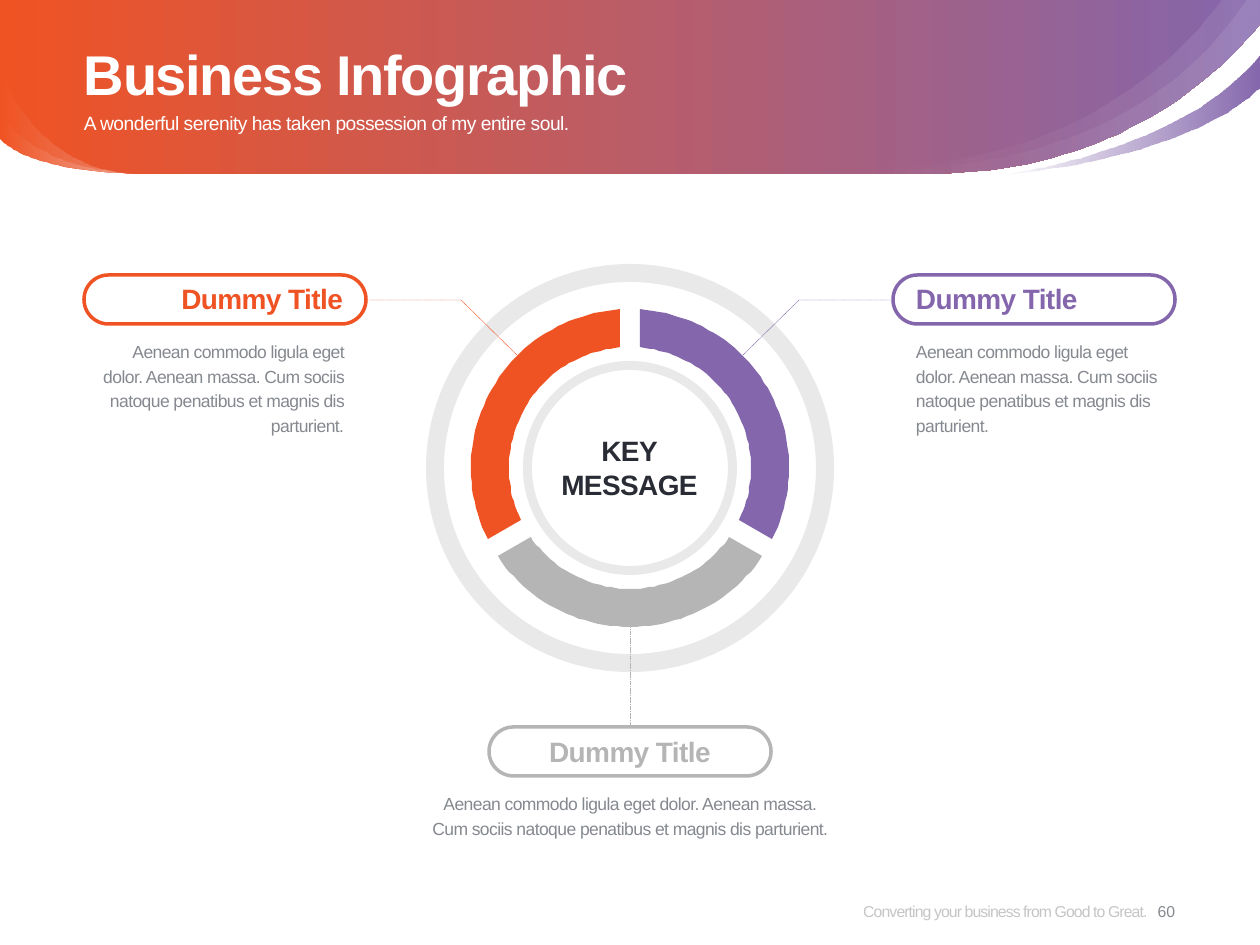
from math import asin, cos, pi, sin

from pptx import Presentation
from pptx.dml.color import RGBColor
from pptx.enum.dml import MSO_LINE
from pptx.enum.shapes import MSO_CONNECTOR, MSO_SHAPE as SHAPE
from pptx.enum.text import MSO_ANCHOR as ANCHOR, MSO_AUTO_SIZE as AUTO_SIZE, PP_ALIGN as ALIGN
from pptx.oxml.ns import qn
from pptx.util import Pt

PX = 914400 / 126
ORANGE, PURPLE, SILVER = "F05323", "8466AC", "B5B5B5"
DARK, GRAY, WHITE = "292C34", "85898F", "FFFFFF"
LOREM = "Aenean commodo ligula eget dolor. Aenean massa."
IPSUM = "Cum sociis natoque penatibus et magnis dis parturient."


def px(length):
    """Turn a length in px into EMU."""
    return round(length * PX)


def color(value):
    """Turn a hex string into a colour."""
    return RGBColor.from_string(value)


def set_alpha(element, opacities):
    """Give the colours inside an element their opacities in percent."""
    for node, opacity in zip(element.iter(qn("a:srgbClr")), opacities):
        node.makeelement(qn("a:alpha"), {"val": str(opacity * 1000)})
        alpha = node.makeelement(qn("a:alpha"), {"val": str(opacity * 1000)})
        node.append(alpha)


def bezier(start, first, second, end, steps=32):
    """Return points along a cubic curve."""
    points = []
    for step in range(steps + 1):
        t = step / steps
        weights = ((1 - t) ** 3, 3 * t * (1 - t) ** 2, 3 * t * t * (1 - t), t ** 3)
        points.append(tuple(
            sum(weight * point[axis] for weight, point in zip(weights, (start, first, second, end)))
            for axis in (0, 1)))
    return points


def arc(center, radius, start, end, steps=48):
    """Return points along a circle, with angles clockwise from the top."""
    angles = [start + (end - start) * step / steps for step in range(steps + 1)]
    return [(center[0] + radius * sin(angle), center[1] - radius * cos(angle)) for angle in angles]


def write_text(frame, text, size=10, fill=GRAY, bold=False, spacing=-0.3, align=ALIGN.LEFT,
               anchor=ANCHOR.TOP, leading=None, opacity=None, font="Arial"):
    """Fill a text frame, one paragraph for each line of text."""
    frame.word_wrap = True
    frame.auto_size = AUTO_SIZE.NONE
    frame.vertical_anchor = anchor
    frame.margin_left = frame.margin_top = frame.margin_right = frame.margin_bottom = 0
    for index, line in enumerate(text.split("\n")):
        paragraph = frame.add_paragraph() if index else frame.paragraphs[0]
        paragraph.alignment = align
        paragraph.space_before = Pt(0)
        if leading:
            paragraph.line_spacing = Pt(leading)
        run = paragraph.add_run()
        run.text = line
        run.font.name, run.font.size, run.font.bold = font, Pt(size), bold
        run.font.color.rgb = color(fill)
        properties = run.font._element
        properties.set("spc", str(round(spacing * 100)))
        if opacity:
            set_alpha(properties, [opacity])


class Deck:
    """Holds the style and the current slide."""

    pill_size = (282, 49)
    pill_line = Pt(2)
    leader_line = Pt(0.25)

    def __init__(self):
        """Start a presentation with one slide."""
        self.presentation = Presentation()
        self.presentation.slide_width, self.presentation.slide_height = px(1260), px(945)
        self.slide = self.presentation.slides.add_slide(self.presentation.slide_layouts[1])
        self.shapes = self.slide.shapes

    def placeholder(self, index, box, text, **style):
        """Move a template placeholder to the front and fill it."""
        shape = self.slide.placeholders[index]
        shape.left, shape.top, shape.width, shape.height = map(px, box)
        self.shapes.element.append(shape.element)
        write_text(shape.text_frame, text, **style)
        return shape

    def text(self, box, text, **style):
        """Add a text box."""
        shape = self.shapes.add_textbox(*map(px, box))
        write_text(shape.text_frame, text, **style)

    def outline(self, points, close=True):
        """Add a freeform through points."""
        builder = self.shapes.build_freeform(*points[0], scale=PX)
        builder.add_line_segments(points[1:], close=close)
        shape = builder.convert_to_shape()
        shape.shadow.inherit = False
        return shape

    def wave(self, points, colors, opacities=(100, 100), start=0):
        """Add an outline with a gradient from left to right."""
        shape = self.outline(points)
        shape.line.fill.background()
        shape.fill.gradient()
        shape.fill.gradient_angle = 0
        for stop, value, position in zip(shape.fill.gradient_stops, colors, (start, 1)):
            stop.color.rgb, stop.position = color(value), position
        set_alpha(shape.element.spPr, opacities)

    def ring(self, center, radius, thickness):
        """Add a pale ring."""
        box = (center[0] - radius, center[1] - radius, 2 * radius, 2 * radius)
        shape = self.shapes.add_shape(SHAPE.DONUT, *map(px, box))
        shape.adjustments[0] = thickness / (2 * radius)
        shape.shadow.inherit = False
        shape.fill.solid()
        shape.fill.fore_color.rgb = color(DARK)
        set_alpha(shape.element.spPr, [10])
        shape.line.fill.background()

    def segment(self, center, index, fill, outer=159, inner=121, half_gap=10):
        """Add one third of the wheel, with parallel gaps between thirds."""
        start, end = index * 2 * pi / 3, (index + 1) * 2 * pi / 3
        outer_trim, inner_trim = asin(half_gap / outer), asin(half_gap / inner)
        shape = self.outline(arc(center, outer, start + outer_trim, end - outer_trim)
                             + arc(center, inner, end - inner_trim, start + inner_trim))
        shape.fill.solid()
        shape.fill.fore_color.rgb = color(fill)
        shape.line.fill.background()

    def style_leader(self, line, stroke):
        """Make a line thin and dotted."""
        line.color.rgb, line.width = color(stroke), self.leader_line
        line.dash_style = MSO_LINE.SQUARE_DOT

    def bent_leader(self, points, stroke):
        """Add a leader with a bend."""
        shape = self.outline(points, close=False)
        shape.fill.background()
        self.style_leader(shape.line, stroke)

    def straight_leader(self, start, pill, stroke):
        """Add a leader that ends at the top of a pill."""
        connector = self.shapes.add_connector(MSO_CONNECTOR.STRAIGHT, *map(px, start + start))
        connector.end_connect(pill, 0)
        self.style_leader(connector.line, stroke)
        properties = connector.element.spPr
        properties.append(properties.makeelement(qn("a:effectLst"), {}))

    def pill(self, left, top, stroke, align):
        """Add a rounded outline with its title."""
        width, height = self.pill_size
        shape = self.shapes.add_shape(SHAPE.ROUNDED_RECTANGLE, *map(px, (left, top, width, height)))
        shape.adjustments[0] = 0.5
        shape.shadow.inherit = False
        shape.fill.background()
        shape.line.color.rgb, shape.line.width = color(stroke), self.pill_line
        self.text((left + 23, top + 7, width - 46, 34), "Dummy Title",
                  size=16, fill=stroke, bold=True, align=align)
        return shape


def draw_header(deck):
    """Draw the waves and the headings."""
    edge = bezier((1260, 24), (1184, 116), (1071, 174), (925, 174))
    left_curve = bezier((144, 174), (26, 173), (0, 139), (0, 139))
    deck.wave([(1260, 0)] + edge + left_curve + [(0, 0)], (ORANGE, PURPLE))
    deck.wave(bezier((1000, 174), (1000, 174), (1184, 151), (1260, 54))
              + bezier((1260, 87), (1260, 87), (1202, 154), (1000, 174)), (PURPLE, PURPLE), (0, 100))
    rim = [(1260, 0)] + edge + bezier((913, 174), (861, 174), (823, 165), (820, 165))
    for first, second, end in (((1048, 180), (1167, 73), (1221, 0)),
                               ((829, 166), (1111, 204), (1246, 0))):
        deck.wave(rim + bezier((820, 165), first, second, end), (WHITE, WHITE), (0, 10), 0.15)
    for top, pull in ((112, 171), (67, 170)):
        deck.wave(left_curve + bezier((0, top), (0, top), (26, pull), (144, 174)),
                  (WHITE, WHITE), (0, 30))
    deck.placeholder(0, (84, 29, 1092, 82), "Business Infographic", size=32, fill=WHITE,
                     bold=True, spacing=-0.8, anchor=ANCHOR.MIDDLE, leading=42)
    subtitle = deck.placeholder(1, (84, 111, 1092, 49),
                                "A wonderful serenity has taken possession of my entire soul.",
                                size=11, fill=WHITE)
    properties = subtitle.text_frame.paragraphs[0]._p.get_or_add_pPr()
    properties.set("marL", "0")
    properties.set("indent", "0")
    properties.append(properties.makeelement(qn("a:buNone"), {}))


def draw_wheel(deck):
    """Draw the wheel, its leaders and its labels."""
    center = (630, 468)
    deck.ring(center, 107, 9)
    deck.ring(center, 204, 18)
    deck.bent_leader([(517, 355), (461, 300), (369, 300)], ORANGE)
    deck.bent_leader([(743, 355), (799, 300), (891, 300)], PURPLE)
    for index, fill in enumerate((PURPLE, SILVER, ORANGE)):
        deck.segment(center, index, fill)
    deck.pill(84, 275, ORANGE, ALIGN.RIGHT)
    deck.pill(893, 275, PURPLE, ALIGN.LEFT)
    bottom_pill = deck.pill(489, 727, SILVER, ALIGN.CENTER)
    deck.straight_leader((630, 627), bottom_pill, SILVER)
    for left, align in ((101, ALIGN.RIGHT), (916, ALIGN.LEFT)):
        deck.text((left, 338, 243, 99), f"{LOREM} {IPSUM}", align=align, leading=14)
    deck.text((407, 790, 446, 49), f"{LOREM}\n{IPSUM}", align=ALIGN.CENTER, leading=14)
    deck.text((513, 434, 233, 68), "KEY\nMESSAGE", size=16, fill=DARK, bold=True, align=ALIGN.CENTER)


def main():
    """Build and save the slide."""
    deck = Deck()
    draw_header(deck)
    draw_wheel(deck)
    deck.text((761, 877, 386, 68), "Converting your business from Good to Great.", size=9,
              fill="8C8C8C", opacity=50, spacing=-0.5, align=ALIGN.RIGHT, anchor=ANCHOR.MIDDLE)
    deck.text((1137, 877, 59, 68), "60", size=9, spacing=0, align=ALIGN.CENTER, anchor=ANCHOR.MIDDLE)
    deck.presentation.save("out.pptx")


if __name__ == "__main__":
    main()
